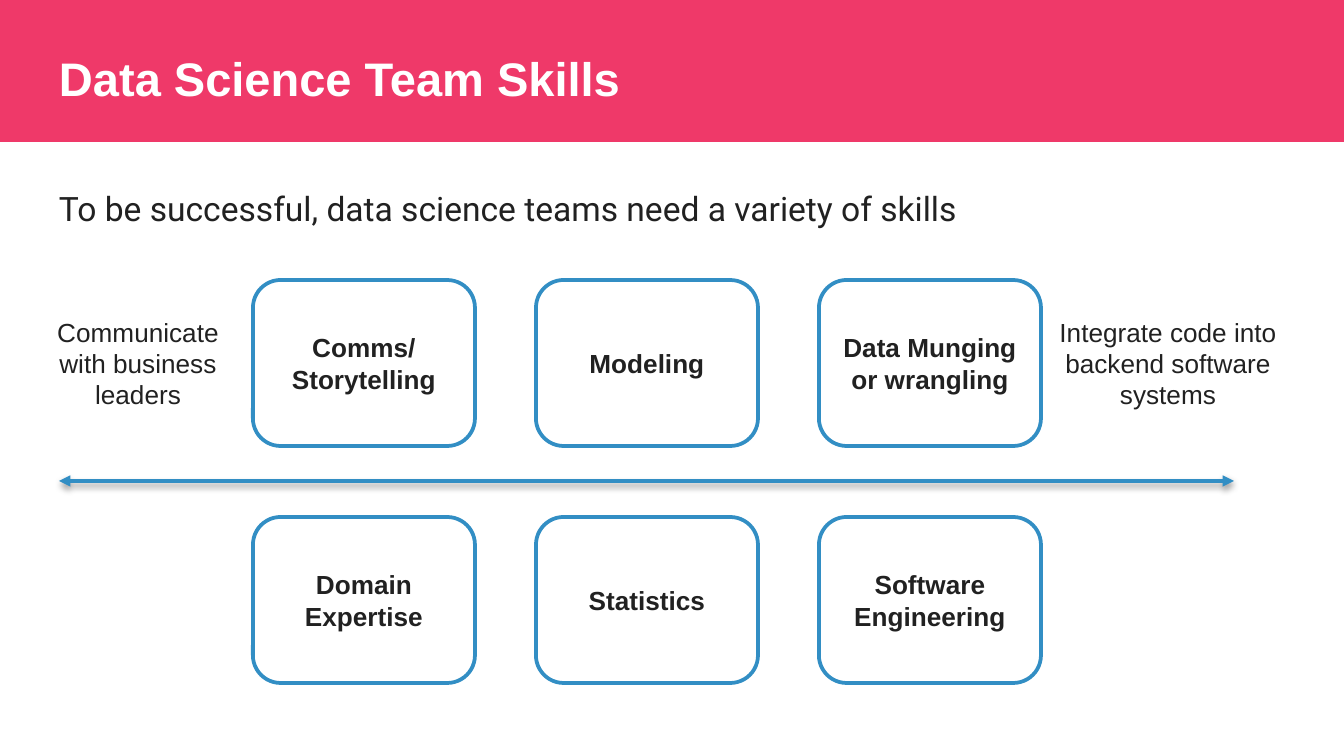
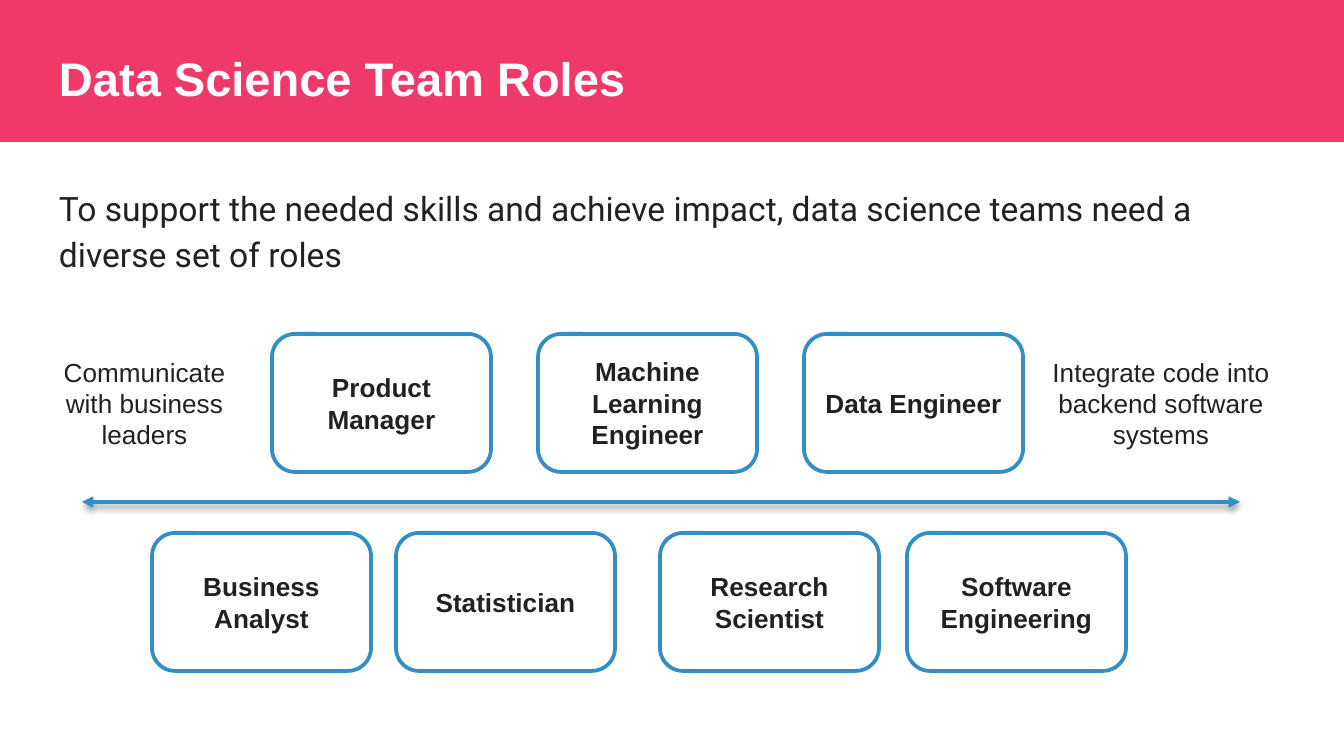
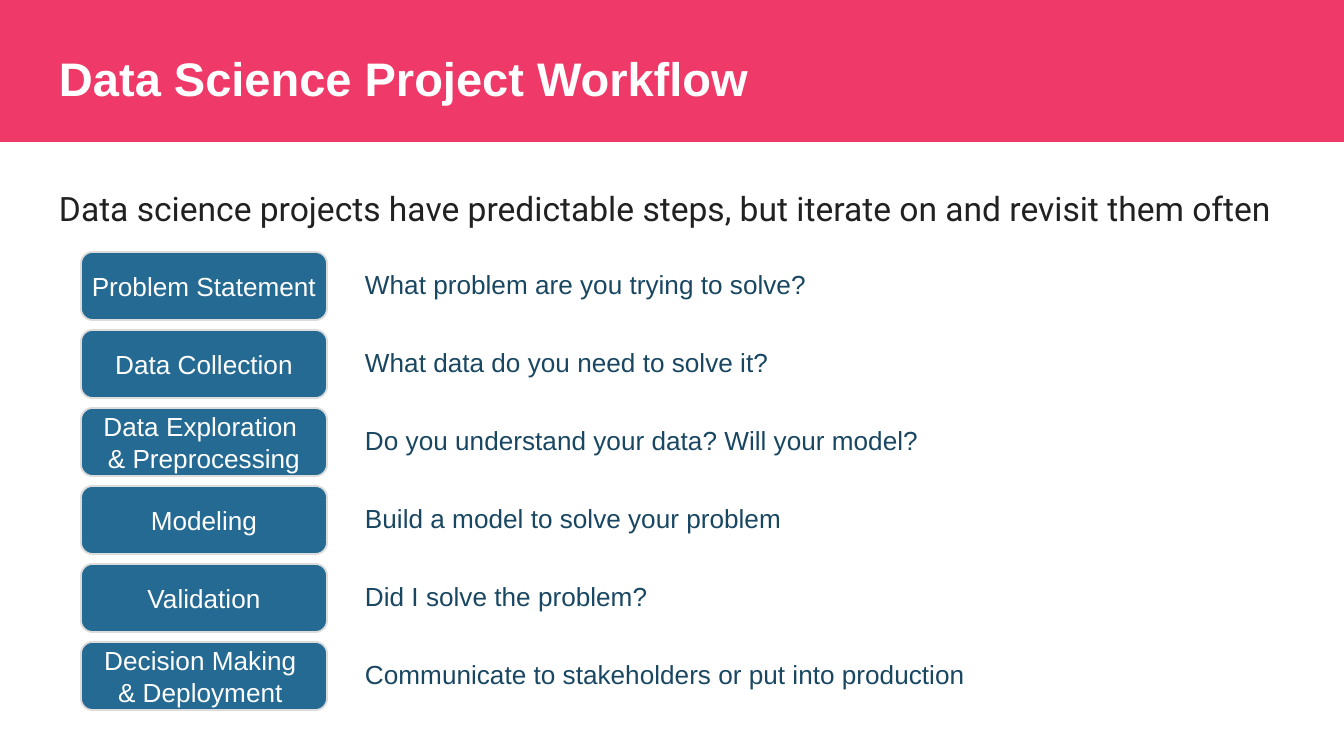
import copy
from collections import namedtuple

import lxml.etree
import pptx
import pptx.dml.color
import pptx.enum.shapes
import pptx.enum.text
import pptx.oxml.ns
import pptx.util

EMU_PER_PX = 914400 / 134.4
SLIDE_WIDTH, SLIDE_HEIGHT = 1344, 756

PINK, WHITE, INK = "EF3969", "FFFFFF", "212121"
BLUE, DARK_BLUE, NAVY, GREY = "328EC4", "256A93", "194762", "DCDCDC"
HEADING_FONT, BODY_FONT = "Arial", "Roboto"
CORNER = 0.167

Box = namedtuple("Box", "left top width height")
SHAPES = pptx.enum.shapes.MSO_SHAPE
ANCHOR = pptx.enum.text.MSO_ANCHOR
ALIGN = pptx.enum.text.PP_ALIGN
qn = pptx.oxml.ns.qn

SHARED_NOTES = ("Communicate with business leaders",
                "Integrate code into backend software systems")


def px(length):
    return pptx.util.Emu(round(length * EMU_PER_PX))


def color(hex_string):
    return pptx.dml.color.RGBColor.from_string(hex_string)


def emu_box(box):
    return [px(length) for length in box]


def write_text(shape, text, size=14, font=HEADING_FONT, fill=INK, bold=False,
               align=ALIGN.LEFT, anchor=ANCHOR.TOP, insets=(0, 0), wrap=True,
               line_spacing=None):
    """Fill a shape; a newline starts a paragraph, a vertical tab breaks a line."""
    frame = shape.text_frame
    frame.word_wrap = wrap
    frame.vertical_anchor = anchor
    frame.margin_left = frame.margin_right = px(insets[0])
    frame.margin_top = frame.margin_bottom = px(insets[1])
    frame.text = text
    for paragraph in frame.paragraphs:
        paragraph.alignment = align
        if line_spacing:
            paragraph.line_spacing = line_spacing
        for run in paragraph.runs:
            run.font.size = pptx.util.Pt(size)
            run.font.name = font
            run.font.bold = bold
            run.font.color.rgb = color(fill)
        for line_break in paragraph._p.findall(qn("a:br")):
            line_break.append(copy.deepcopy(paragraph._p.find(qn("a:r")).find(qn("a:rPr"))))


def add_text(slide, box, text, **text_format):
    write_text(slide.shapes.add_textbox(*emu_box(box)), text, **text_format)


def add_panel(slide, box, fill, line=None, line_width=1, kind=SHAPES.ROUNDED_RECTANGLE):
    panel = slide.shapes.add_shape(kind, *emu_box(box))
    panel.shadow.inherit = False
    panel.fill.solid()
    panel.fill.fore_color.rgb = color(fill)
    if kind == SHAPES.ROUNDED_RECTANGLE:
        panel.adjustments[0] = CORNER
    if line:
        panel.line.color.rgb = color(line)
        panel.line.width = pptx.util.Pt(line_width)
    else:
        panel.line.fill.background()
    return panel


def add_spectrum_arrow(slide, left, right, y):
    """Draw a horizontal double-headed arrow with a soft shadow below it."""
    arrow = slide.shapes.add_connector(pptx.enum.shapes.MSO_CONNECTOR.STRAIGHT,
                                       px(left), px(y), px(right), px(y))
    arrow.line.color.rgb = color(BLUE)
    arrow.line.width = pptx.util.Pt(2)
    properties = arrow._element.spPr
    outline = properties.find(qn("a:ln"))
    for end in ("a:headEnd", "a:tailEnd"):
        lxml.etree.SubElement(outline, qn(end), type="triangle")
    effects = lxml.etree.SubElement(properties, qn("a:effectLst"))
    shadow = lxml.etree.SubElement(effects, qn("a:outerShdw"), blurRad="38100",
                                   dist="20320", dir="5400000", rotWithShape="0")
    shade = lxml.etree.SubElement(shadow, qn("a:srgbClr"), val="000000")
    lxml.etree.SubElement(shade, qn("a:alpha"), val="38000")


def add_titled_slide(presentation, title, lead, lead_box=Box(46, 169, 1252, 503)):
    slide = presentation.slides.add_slide(presentation.slide_layouts[6])
    add_panel(slide, Box(0, 0, SLIDE_WIDTH, 142), PINK, kind=SHAPES.RECTANGLE)
    add_text(slide, Box(46, 34, 1252, 85), title, size=25.2, fill=WHITE, bold=True,
             anchor=ANCHOR.BOTTOM, insets=(13, 13))
    add_text(slide, lead_box, lead, size=18, font=BODY_FONT, insets=(13, 13),
             line_spacing=1.15)
    return slide


def add_card_row(slide, first_card, offsets, labels):
    for offset, label in zip(offsets, labels):
        card = add_panel(slide, first_card._replace(left=first_card.left + offset),
                         WHITE, BLUE, 2)
        write_text(card, label, bold=True, align=ALIGN.CENTER, anchor=ANCHOR.MIDDLE,
                   insets=(7, 7))


def add_spectrum(slide, note_boxes, arrow, rows):
    """Lay card rows above and below an arrow, with a note at each end."""
    for box, note in zip(note_boxes, SHARED_NOTES):
        add_text(slide, box, note, align=ALIGN.CENTER)
    add_spectrum_arrow(slide, *arrow)
    for first_card, offsets, labels in rows:
        add_card_row(slide, first_card, offsets, labels)


def add_skills_slide(presentation):
    slide = add_titled_slide(presentation, "Data Science Team Skills",
                             "To be successful, data science teams need a variety of skills")
    columns = range(0, 3 * 283, 283)
    upper = Box(253, 280, 222, 166)
    add_spectrum(
        slide,
        note_boxes=(Box(34, 316, 208, 95), Box(1056, 316, 224, 95)),
        arrow=(59, 1234, 481),
        rows=((upper, columns,
               ("Comms/\nStorytelling", "Modeling", "Data Munging or wrangling")),
              (upper._replace(top=517), columns,
               ("Domain Expertise", "Statistics", "Software Engineering"))))


def add_roles_slide(presentation):
    slide = add_titled_slide(presentation, "Data Science Team Roles",
                             "To support the needed skills and achieve impact, "
                             "data science teams need a diverse set of roles")
    upper = Box(272, 334, 219, 138)
    add_spectrum(
        slide,
        note_boxes=(Box(47, 356, 195, 95), Box(1050, 356, 222, 95)),
        arrow=(82, 1240, 502),
        rows=((upper, range(0, 3 * 266, 266),
               ("Product Manager", "Machine Learning Engineer", "Data Engineer")),
              (upper._replace(left=152, top=533), (0, 244, 508, 755),
               ("Business Analyst", "Statistician", "Research Scientist",
                "Software Engineering"))))


def add_workflow_steps(slide, box, steps):
    """Stack the steps down the box, each with its question to the right."""
    pitch = box.height // len(steps)
    for index, (label, question, question_width) in enumerate(steps):
        top = box.top + index * pitch
        step = add_panel(slide, Box(box.left, top, 246, 68), DARK_BLUE, GREY)
        write_text(step, label, fill=WHITE, align=ALIGN.CENTER, anchor=ANCHOR.MIDDLE,
                   insets=(13, 7), wrap=False)
        add_text(slide, Box(box.left + 271, top + 9, question_width, 46), question,
                 fill=NAVY, insets=(13, 7))


def add_workflow_slide(presentation):
    slide = add_titled_slide(presentation, "Data Science Project Workflow",
                             "Data science projects have predictable steps, "
                             "but iterate on and revisit them often",
                             lead_box=Box(46, 169, 1321, 69))
    add_workflow_steps(slide, Box(81, 252, 1032, 468), (
        ("Problem Statement", "What problem are you trying to solve?", 696),
        ("Data Collection", "What data do you need to solve it?", 556),
        ("Data Exploration \v& Preprocessing",
         "Do you understand your data? Will your model?", 727),
        ("Modeling", "Build a model to solve your problem", 511),
        ("Validation", "Did I solve the problem?", 569),
        ("Decision Making \v& Deployment ",
         "Communicate to stakeholders or put into production", 761)))


def main():
    presentation = pptx.Presentation()
    presentation.slide_width = px(SLIDE_WIDTH)
    presentation.slide_height = px(SLIDE_HEIGHT)
    add_skills_slide(presentation)
    add_roles_slide(presentation)
    add_workflow_slide(presentation)
    presentation.save("out.pptx")


if __name__ == "__main__":
    main()
